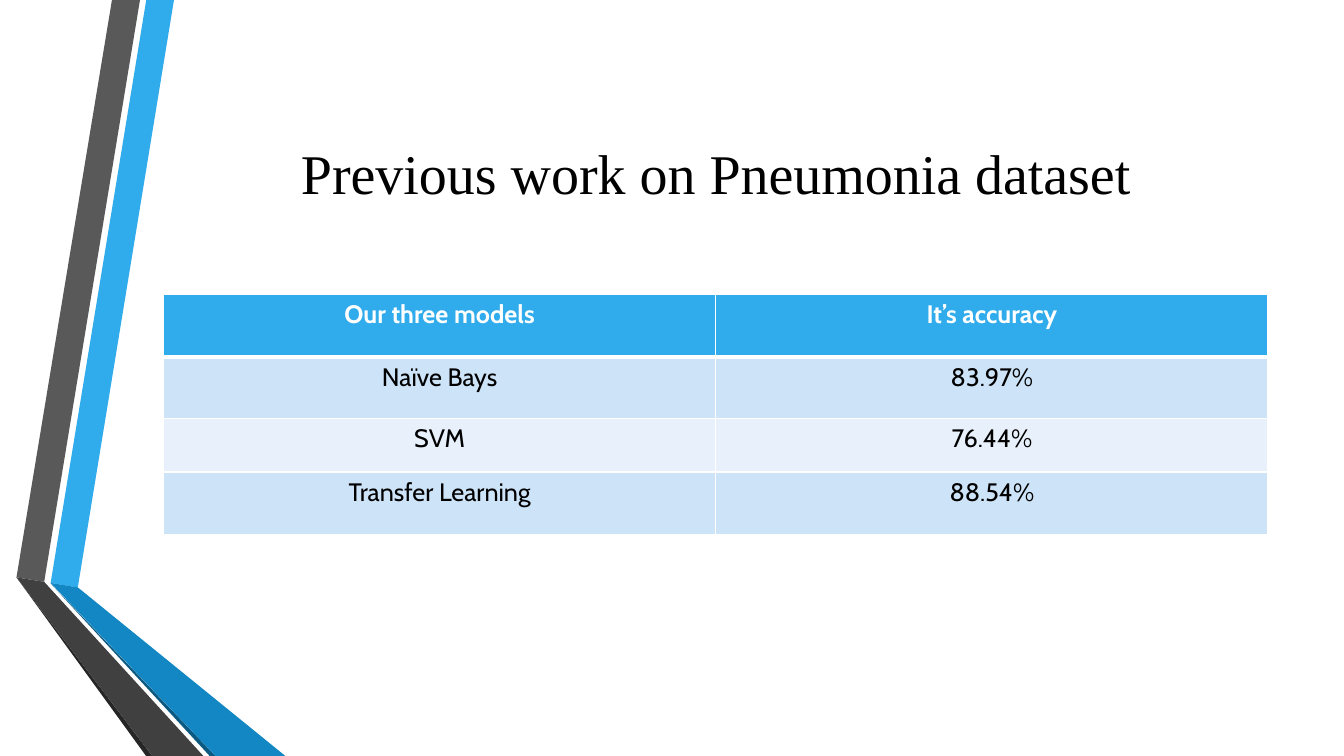
"""Build a slide with a table of model accuracies beside folded ribbons."""
from pptx import Presentation
from pptx.dml.color import RGBColor
from pptx.enum.text import MSO_ANCHOR, PP_ALIGN
from pptx.oxml import parse_xml
from pptx.oxml.ns import nsdecls
from pptx.util import Pt

CENTER, MIDDLE = PP_ALIGN.CENTER, MSO_ANCHOR.MIDDLE

TITLE = "Previous work on Pneumonia dataset"
ROWS = [
    ("Our three models", "It’s accuracy"),
    ("Naïve Bays", "83.97%"),
    ("SVM", "76.44%"),
    ("Transfer Learning", "88.54%"),
]
HEIGHTS = [44.4, 44.2, 38.2, 44.6]
COLORS = {
    "blue": "30ACEC", "gray": "595959", "soot": "262626", "navy": "0C5A82",
    "azure": "1287C3", "coal": "404040", "white": "FFFFFF", "black": "000000",
    "band": "CDE3F8", "pale": "E8F1FB",
}
RIBBONS = [
    ("blue", [(36.2, 416.4), (55.6, 419.6), (124.3, 0), (104.5, 0)]),
    ("gray", [(100, 0), (80, 0), (11.8, 412.4), (31.6, 415.6)]),
    ("soot", [(11.8, 412.4), (104.4, 540), (108.8, 540)]),
    ("navy", [(36.2, 416.8), (149.8, 540), (154, 540)]),
    ("azure", [(36.2, 416.4), (154, 540), (203.8, 540), (55.6, 419.6)]),
    ("coal", [(145.3, 540), (31.6, 415.6), (11.8, 412.4), (108.8, 540)]),
]
LEFT, WIDTH = 116.8, 789
TITLE_BOX = {"left": LEFT, "top": 54, "width": WIDTH, "height": 138}
TABLE_TOP = 210.4
TITLE_FONT = {"name": "Times New Roman", "size": Pt(40), "bold": False}
HEAD_FONT = {"name": "Cabin", "size": Pt(18), "bold": True}
BODY_FONT = {**HEAD_FONT, "bold": False}


def rgb(name):
    return RGBColor.from_string(COLORS[name])


def style(para, form, color):
    para.alignment = CENTER
    font = para.runs[0].font
    for key, value in form.items():
        setattr(font, key, value)
    font.color.rgb = rgb(color)


def draw(shapes, color, points):
    spots = [(Pt(x), Pt(y)) for x, y in points]
    pen = shapes.build_freeform(*spots[0])
    pen.add_line_segments(spots[1:], close=True)
    ribbon = pen.convert_to_shape()
    ribbon.shadow.inherit = False
    ribbon.fill.solid()
    ribbon.fill.fore_color.rgb = rgb(color)
    ribbon.line.fill.background()


def edge(cell, sides):
    props = cell._tc.get_or_add_tcPr()
    for side, width in sides.items():
        props.append(parse_xml(
            f'<a:ln{side} {nsdecls("a")} w="{Pt(width)}"><a:solidFill>'
            f'<a:srgbClr val="{COLORS["white"]}"/></a:solidFill></a:ln{side}>'))


def fill_table(shapes):
    frame = shapes.add_table(len(ROWS), len(ROWS[0]), Pt(LEFT), Pt(TABLE_TOP),
                             Pt(WIDTH), Pt(sum(HEIGHTS)))
    table = frame.table
    for r, (texts, height) in enumerate(zip(ROWS, HEIGHTS)):
        table.rows[r].height = Pt(height)
        head = r == 0
        back = "blue" if head else "band" if r % 2 else "pale"
        for c, text in enumerate(texts):
            cell = table.cell(r, c)
            cell.text = text
            style(cell.text_frame.paragraphs[0],
                  HEAD_FONT if head else BODY_FONT,
                  "white" if head else "black")
            edge(cell, {"L": 1, "R": 1, "T": 3 if r == 1 else 1,
                        "B": 3 if head else 1})
            cell.fill.solid()
            cell.fill.fore_color.rgb = rgb(back)


def main():
    deck = Presentation()
    deck.slide_width, deck.slide_height = Pt(960), Pt(540)
    slide = deck.slides.add_slide(deck.slide_layouts[5])
    for color, points in RIBBONS:
        draw(slide.shapes, color, points)
    title = slide.shapes.title
    for key, value in TITLE_BOX.items():
        setattr(title, key, Pt(value))
    title.text_frame.text = TITLE
    title.text_frame.vertical_anchor = MIDDLE
    style(title.text_frame.paragraphs[0], TITLE_FONT, "black")
    fill_table(slide.shapes)
    deck.save("out.pptx")


if __name__ == "__main__":
    main()
